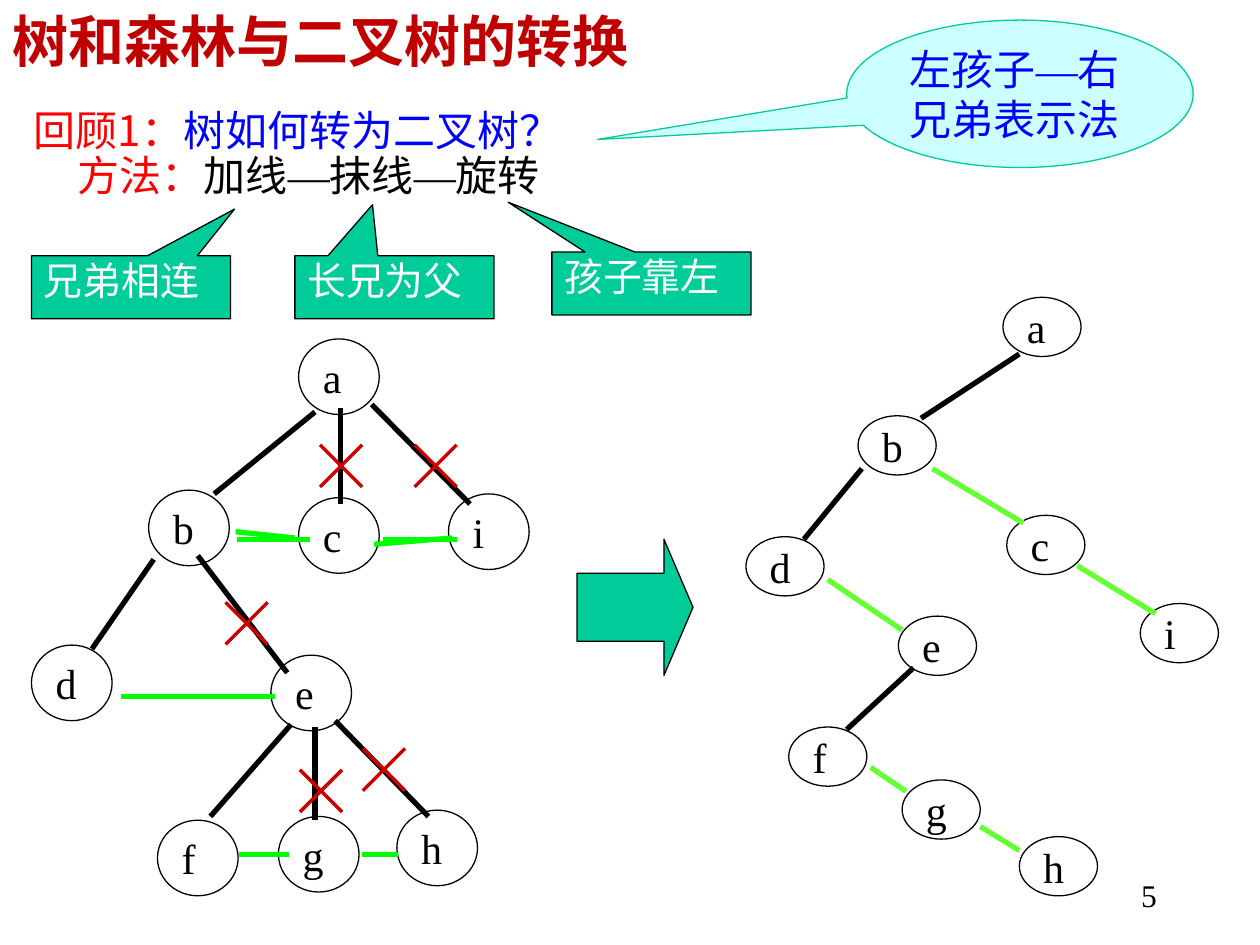
from lxml.etree import SubElement
from pptx import Presentation
from pptx.dml.color import RGBColor
from pptx.enum.shapes import MSO_CONNECTOR, MSO_SHAPE
from pptx.enum.text import MSO_ANCHOR, PP_ALIGN
from pptx.oxml.ns import qn
from pptx.util import Inches, Pt

BLACK = RGBColor(0x00, 0x00, 0x00)
WHITE = RGBColor(0xFF, 0xFF, 0xFF)
RED = RGBColor(0xFF, 0x00, 0x00)
DARK_RED = RGBColor(0xC0, 0x00, 0x00)
CROSS_RED = RGBColor(0xCC, 0x00, 0x00)
BLUE = RGBColor(0x00, 0x00, 0xFF)
TEAL = RGBColor(0x00, 0xCC, 0x99)
PALE_CYAN = RGBColor(0xCC, 0xFF, 0xFF)
GREEN = RGBColor(0x00, 0xFF, 0x00)
LIME = RGBColor(0x66, 0xFF, 0x33)
SERIF = "Times New Roman"
SANS = "Noto Sans CJK SC"

presentation = Presentation()
presentation.slide_width = Inches(10)
presentation.slide_height = Inches(7.5)
slide = presentation.slides.add_slide(presentation.slide_layouts[6])
shapes = slide.shapes

# Square grid: 100 columns by 75 rows; every position below is in cells
CELL = presentation.slide_width / 100


def add_block(kind, box, runs=(), fill=None, line=None, adjustments=(),
              size=24, bold=False, spacing=None, align=PP_ALIGN.LEFT, **frame_format):
    """Add a preset shape, or a text box when kind is None, with one paragraph."""
    place = [round(value * CELL) for value in box]
    if kind is None:
        shape = shapes.add_textbox(*place)
    else:
        shape = shapes.add_shape(kind, *place)
        shape.shadow.inherit = False
        for index, value in enumerate(adjustments):
            shape.adjustments[index] = value
        if fill is None:
            shape.fill.background()
        else:
            shape.fill.solid()
            shape.fill.fore_color.rgb = fill
        shape.line.color.rgb = line
        shape.line.width = Pt(0.75)
    frame = shape.text_frame
    frame_values = {"word_wrap": True, "vertical_anchor": MSO_ANCHOR.TOP, **frame_format}
    for name, value in frame_values.items():
        setattr(frame, name, value)
    paragraph = frame.paragraphs[0]
    paragraph.alignment = align
    paragraph.line_spacing = spacing
    for text, font, color in runs:
        run = paragraph.add_run()
        run.text = text
        for name, value in {"name": font, "size": Pt(size), "bold": bold}.items():
            setattr(run.font, name, value)
        run.font.color.rgb = color
        east_asian = SERIF if text == "—" else SANS
        SubElement(run.font._element, qn("a:ea"), typeface=east_asian)


def add_line(ends, color, width=3):
    """Add a straight line between two grid points."""
    line = shapes.add_connector(MSO_CONNECTOR.STRAIGHT, *[round(value * CELL) for value in ends])
    line.line.color.rgb = color
    line.line.width = Pt(width)
    SubElement(line._element.spPr, qn("a:effectLst"))


# Method line
add_block(None, (5.2, 11.4, 39.4, 5),
          [("方法：", SANS, RED), ("加线", SANS, BLACK), ("—", SERIF, BLACK),
           ("抹线", SANS, BLACK), ("—", SERIF, BLACK), ("旋转", SANS, BLACK)],
          word_wrap=False)

# Nodes of the general tree and of the binary tree
tree_nodes = {"a": (23.7, 26.9), "b": (11.8, 38.9), "c": (23.7, 39.5), "i": (35.6, 39.2),
              "d": (2.5, 51.2), "e": (21.5, 52), "f": (12.5, 65.1), "g": (22.1, 64.8),
              "h": (31.5, 64.3)}
binary_nodes = {"a": (79.6, 23.6), "b": (68.1, 33), "c": (79.9, 40.9), "i": (90.5, 47.9),
                "d": (59.2, 42.6), "e": (71.3, 48.9), "f": (62.6, 57.7), "g": (71.6, 61.9),
                "h": (80.9, 66.4)}
for nodes, node_size, fill in ((tree_nodes, (6.4, 6), None),
                               (binary_nodes, (6.2, 4.7), WHITE)):
    for label, corner in nodes.items():
        add_block(MSO_SHAPE.OVAL, corner + node_size, [(label, SERIF, BLACK)], fill, BLACK,
                  word_wrap=False, vertical_anchor=MSO_ANCHOR.MIDDLE)

# Edges: parent to child in black, sibling links in green
edges = {
    BLACK: [(25, 32.7, 17, 39.2), (27, 32.4, 27, 40), (29.5, 32.1, 37.3, 40),
            (12.2, 44.4, 7.3, 51.5), (15.7, 44.1, 22.8, 53.4), (23.1, 57.5, 16.7, 64.8),
            (25, 57.7, 25, 65.1), (26.6, 57.2, 34, 64.8),
            (80.9, 28.1, 73.1, 33.2), (68.4, 37.2, 63.8, 42.8), (72.5, 53, 67.2, 57.9)],
    GREEN: [(18.8, 42.8, 24.6, 42.8), (30.4, 42.8, 36.3, 42.8), (18.7, 42.2, 23.4, 42.7),
            (29.7, 43.2, 35.9, 42.7), (9.6, 55.3, 21.8, 55.3), (19, 67.8, 22.9, 67.8),
            (28.7, 67.8, 31.6, 67.8)],
    LIME: [(74, 37.2, 81.2, 41.5), (85.5, 44.9, 91.7, 48.7), (65.7, 46, 71.6, 50),
           (69.1, 60.9, 71.9, 62.8), (77.8, 65.6, 80.9, 67.5)],
}
for color, lines in edges.items():
    for ends in lines:
        add_line(ends, color)

# Crosses on the removed edges
CROSS = 3.35
for left, top in ((23.8, 61.1), (28.8, 59.4), (17.9, 47.8), (25.4, 35.3), (32.9, 35.3)):
    add_line((left + CROSS, top, left, top + CROSS), CROSS_RED, 2)
    add_line((left, top, left + CROSS, top + CROSS), CROSS_RED, 2)

# Conversion arrow
add_block(MSO_SHAPE.RIGHT_ARROW, (45.8, 42.8, 9.2, 10.8), fill=TEAL, line=BLACK,
          adjustments=(0.5, 0.25))

# Callouts for the three steps
for text, left, top, pointer in (("兄弟相连", 2.5, 20.3, (0.52, -1.24)),
                                 ("长兄为父", 23.4, 20.3, (-0.11, -1.31)),
                                 ("孩子靠左", 43.8, 20, (-0.72, -1.29))):
    add_block(MSO_SHAPE.RECTANGULAR_CALLOUT, (left, top, 15.8, 5), [(text, SANS, WHITE)],
              TEAL, BLACK, pointer, size=22.2, spacing=0.9)

# Title, question and representation callout
add_block(None, (0, 0, 53.1, 6.3), [("树和森林与二叉树的转换", SERIF, DARK_RED)],
          size=32, bold=True, vertical_anchor=MSO_ANCHOR.MIDDLE)
add_block(None, (1.7, 7.8, 45.6, 5),
          [("回顾1：", SANS, RED), ("树如何转为二叉树？", SANS, BLUE)], word_wrap=False)
add_block(MSO_SHAPE.OVAL_CALLOUT, (67.2, 1.6, 27.5, 11.7),
          [("左孩子", SANS, BLUE), ("—", SERIF, BLUE), ("右兄弟表示法", SANS, BLUE)],
          PALE_CYAN, TEAL, (-1.22, 0.31), vertical_anchor=MSO_ANCHOR.MIDDLE)

# Page number
add_block(None, (72, 69, 20.8, 5), [("5", SERIF, BLACK)], size=18, align=PP_ALIGN.RIGHT)

presentation.save("out.pptx")
